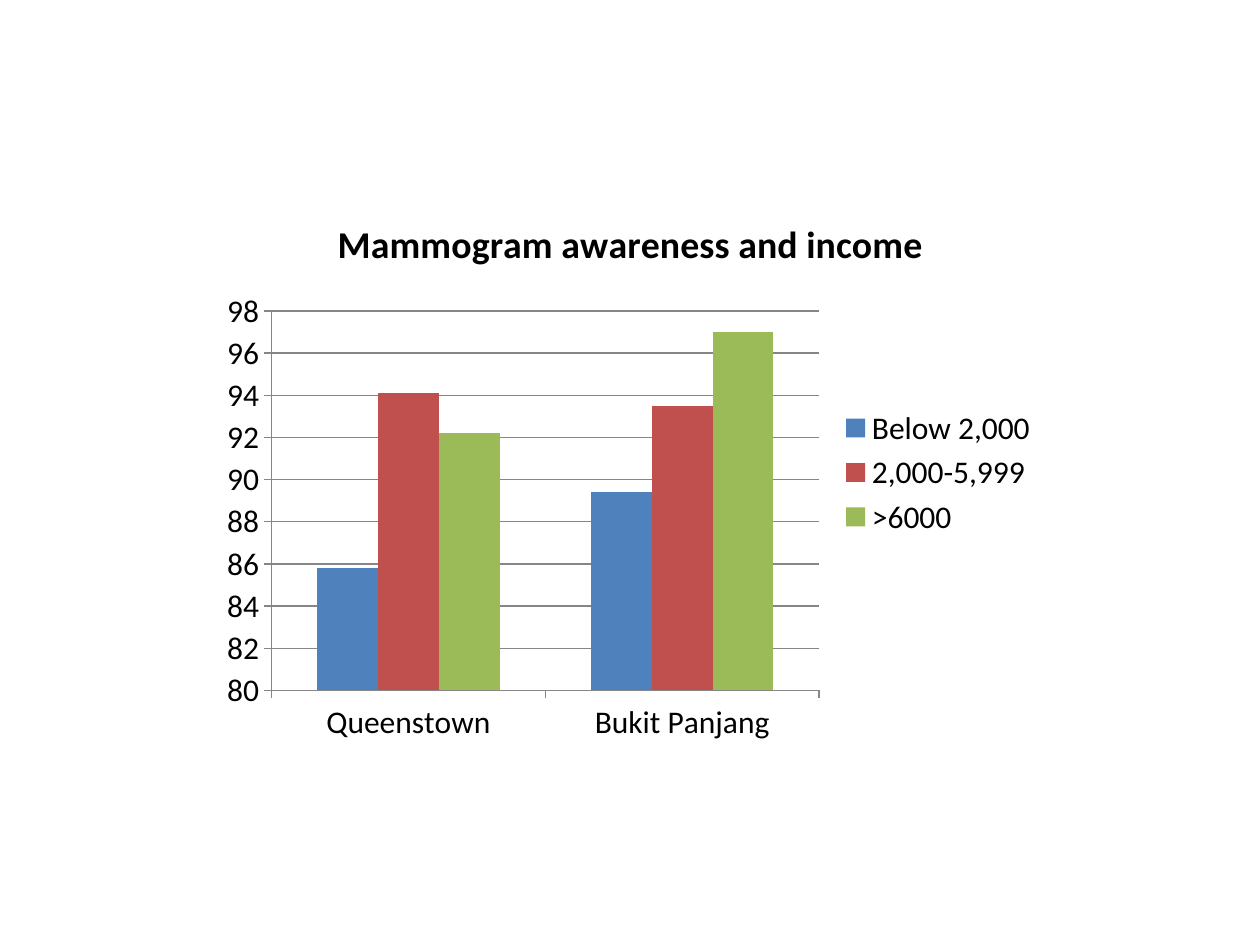
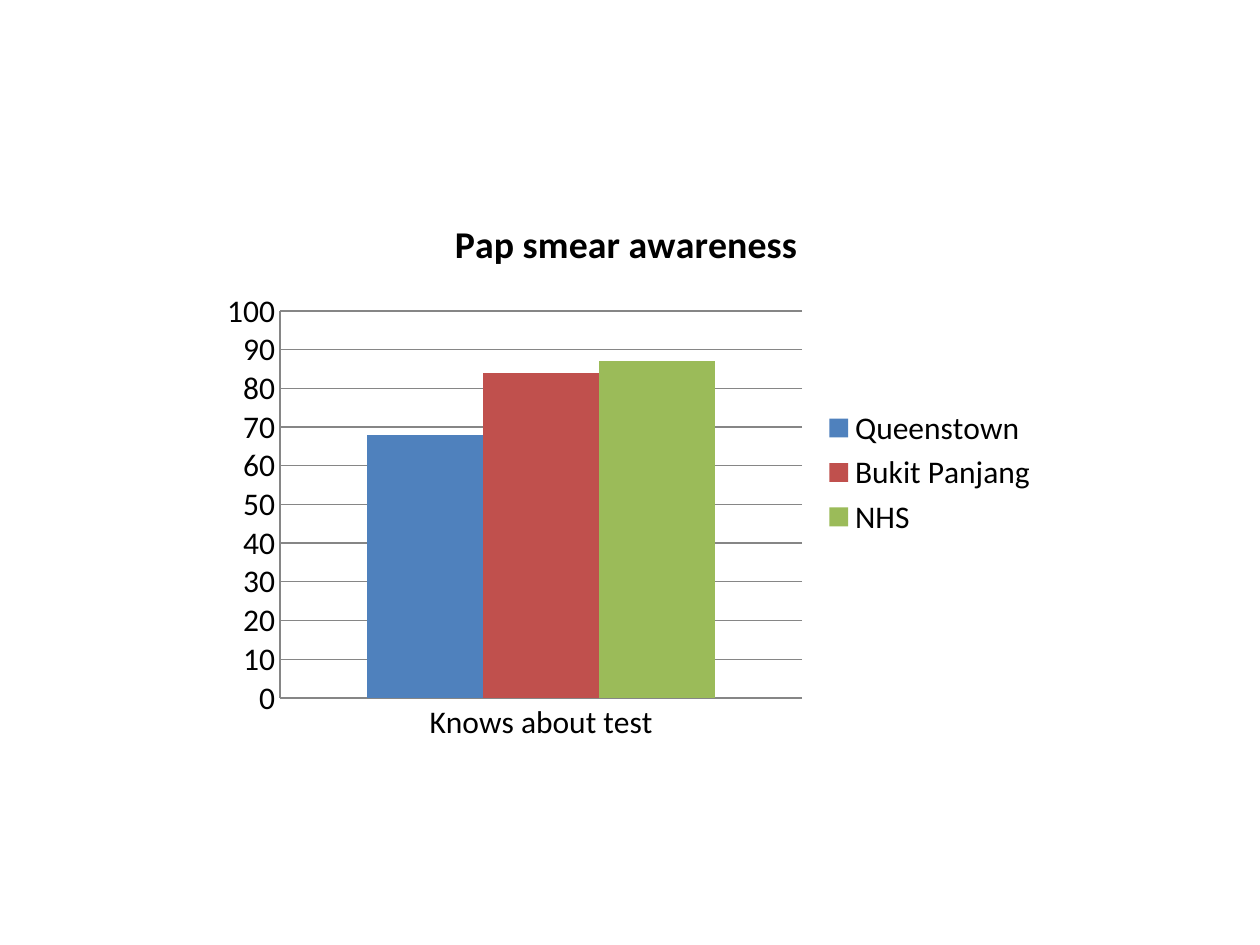
"""Build two slides of clustered column charts on screening awareness."""
import dataclasses

import pptx
import pptx.chart.data
import pptx.dml.color
import pptx.enum.chart
import pptx.util

Inches, Pt = pptx.util.Inches, pptx.util.Pt
RGB = pptx.dml.color.RGBColor.from_string
TICK = pptx.enum.chart.XL_TICK_MARK


@dataclasses.dataclass(frozen=True)
class Theme:
    """Colours, font and type sizes."""
    font: str = "Calibri"
    text: str = "000000"
    line: str = "868686"
    series: tuple = ("4F81BD", "C0504D", "9BBB59")
    body_size: float = 18
    title_size: float = 21.6


theme = Theme()


def set_font(font, size, bold):
    formats = {"name": theme.font, "size": Pt(size), "bold": bold}
    for name, value in formats.items():
        setattr(font, name, value)
    font.color.rgb = RGB(theme.text)


charts = [
    {
        "title": "Mammogram awareness and income",
        "categories": ["Queenstown", "Bukit Panjang"],
        "series": {"Below 2,000": [85.8, 89.4], "2,000-5,999": [94.1, 93.5], ">6000": [92.2, 97]},
        "scale": {"minimum_scale": 80, "maximum_scale": 98, "major_unit": 2},
        "tick": TICK.OUTSIDE,
    },
    {
        "title": "Pap smear awareness ",
        "categories": ["Knows about test"],
        "series": {"Queenstown": [68], "Bukit Panjang": [84], "NHS": [87]},
        "scale": {"minimum_scale": 0, "maximum_scale": 100, "major_unit": 10},
        "tick": TICK.NONE,
    },
]

prs = pptx.Presentation()
prs.slide_width, prs.slide_height = Inches(10), Inches(7.5)

for item in charts:
    s = prs.slides.add_slide(prs.slide_layouts[6])

    data = pptx.chart.data.CategoryChartData()
    data.categories = item["categories"]
    for name, values in item["series"].items():
        data.add_series(name, values)
    chart = s.shapes.add_chart(
        pptx.enum.chart.XL_CHART_TYPE.COLUMN_CLUSTERED,
        Inches(1.67), Inches(1.53), Inches(6.67), Inches(4.44), data,
    ).chart
    set_font(chart.font, theme.body_size, False)

    chart.has_title = True
    chart.chart_title.include_in_layout = False
    p = chart.chart_title.text_frame.paragraphs[0]
    r = p.add_run()
    r.text = item["title"]
    set_font(r.font, theme.title_size, True)

    chart.has_legend = True
    chart.legend.position = pptx.enum.chart.XL_LEGEND_POSITION.RIGHT
    chart.legend.include_in_layout = False

    plot = chart.plots[0]
    plot.vary_by_categories = False
    plot.gap_width = 150
    plot.overlap = 0
    for series, color in zip(plot.series, theme.series):
        series.format.fill.solid()
        series.format.fill.fore_color.rgb = RGB(color)

    value_axis = chart.value_axis
    value_axis.has_major_gridlines = True
    for name, value in item["scale"].items():
        setattr(value_axis, name, value)
    for axis in (chart.category_axis, value_axis):
        axis.major_tick_mark = item["tick"]
        axis.minor_tick_mark = TICK.NONE
    for part in (chart.category_axis, value_axis, value_axis.major_gridlines):
        part.format.line.color.rgb = RGB(theme.line)
        part.format.line.width = Pt(0.75)

prs.save("out.pptx")
